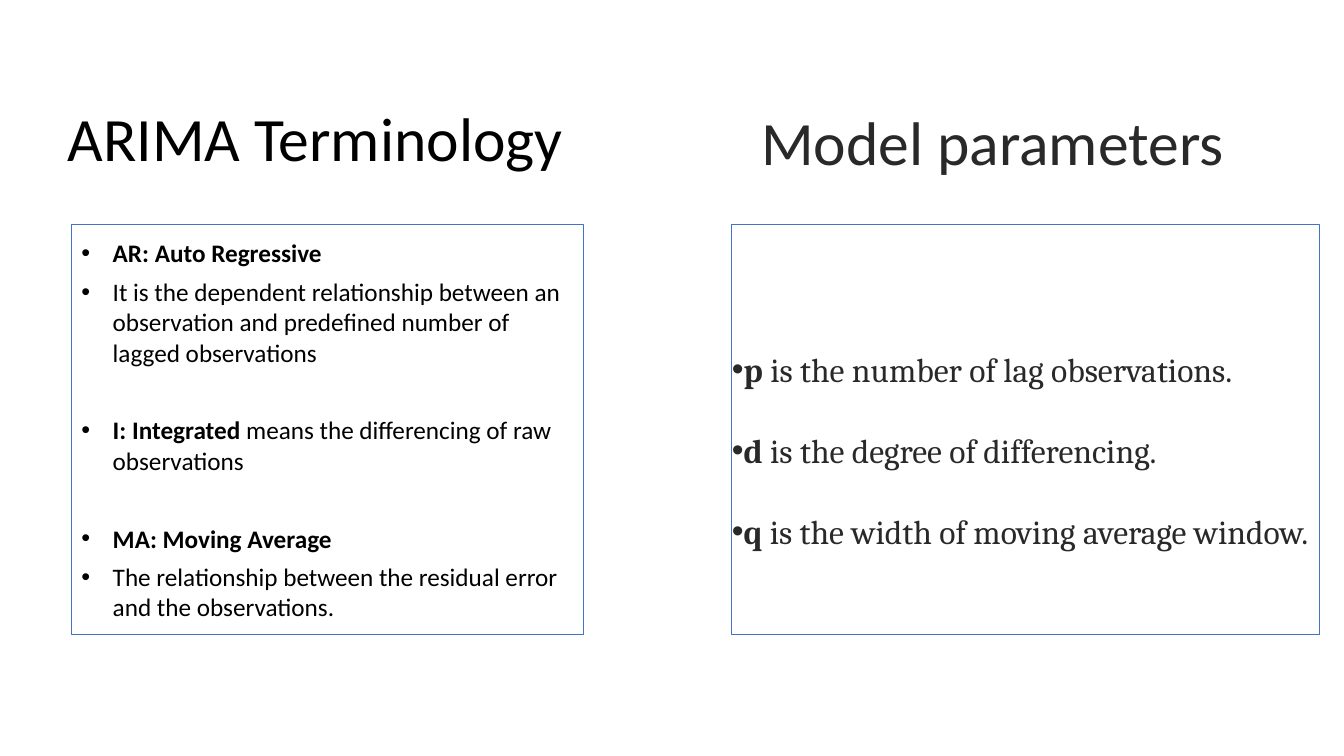
"""Build the slide on ARIMA terminology and model parameters."""
import pptx
import pptx.dml.color
import pptx.enum.shapes
import pptx.enum.text
import pptx.oxml
import pptx.oxml.ns
import pptx.util

Inches = pptx.util.Inches
Pt = pptx.util.Pt
Anchor = pptx.enum.text.MSO_ANCHOR

BLACK = pptx.dml.color.RGBColor(0x00, 0x00, 0x00)
CHARCOAL = pptx.dml.color.RGBColor(0x29, 0x29, 0x29)
BLUE = pptx.dml.color.RGBColor(0x44, 0x72, 0xC4)

ITEM_GAP = 6
GROUP_GAP = 34
TERMS = [
    ("AR: Auto Regressive", "", ITEM_GAP),
    ("", "It is the dependent relationship between an observation and "
         "predefined number of lagged observations", GROUP_GAP),
    ("I: Integrated ", "means the differencing of raw observations", GROUP_GAP),
    ("MA: Moving Average", "", ITEM_GAP),
    ("", "The relationship between the residual error and the observations.", ITEM_GAP),
]
PARAMETERS = [
    ("p", " is the number of lag observations.", 0),
    ("d", " is the degree of differencing.", 0),
    ("q", " is the width of moving average window.", 0),
]


class SlideBuilder:
    def __init__(self, deck):
        self.page = deck.slides.add_slide(deck.slide_layouts[5])
        self.heading_size = 44
        self.heading_font = "Calibri"

    def place(self, shape, left, top, width, height):
        shape.left, shape.top = Inches(left), Inches(top)
        shape.width, shape.height = Inches(width), Inches(height)

    def set_margins(self, frame, left, top, right, bottom):
        frame.margin_left, frame.margin_top = Inches(left), Inches(top)
        frame.margin_right, frame.margin_bottom = Inches(right), Inches(bottom)

    def style(self, span, font, size, color, bold=False):
        span.font.name = font
        span.font.size = Pt(size)
        span.font.color.rgb = color
        span.font.bold = bold

    def heading(self, shape, text, color, anchor, margins, line_spacing):
        frame = shape.text_frame
        frame.text = text
        frame.word_wrap = True
        frame.auto_size = pptx.enum.text.MSO_AUTO_SIZE.NONE
        frame.vertical_anchor = anchor
        self.set_margins(frame, *margins)
        para = frame.paragraphs[0]
        para.alignment = pptx.enum.text.PP_ALIGN.LEFT
        para.line_spacing = line_spacing
        self.style(para.runs[0], self.heading_font, self.heading_size, color)

    def title(self, text, place, color):
        shape = self.page.shapes.title
        self.place(shape, *place)
        self.heading(shape, text, color, Anchor.BOTTOM, (0.1, 0.05, 0.1, 0.72), 0.9)

    def label(self, text, place, color):
        shape = self.page.shapes.add_textbox(*map(Inches, place))
        self.heading(shape, text, color, Anchor.MIDDLE, (0, 0, 0, 0), 1.0)

    def bullet(self, para, indent):
        properties = para._p.get_or_add_pPr()
        properties.set("marL", str(Inches(indent)))
        properties.set("indent", str(-Inches(indent)))
        namespace = pptx.oxml.ns.nsdecls("a")
        for element in ('buFont {} typeface="Arial"', 'buChar {} char="•"'):
            properties.append(pptx.oxml.parse_xml(f"<a:{element.format(namespace)}/>"))

    def bullet_panel(self, items, place, font, size, color, margins, indent, line_spacing):
        box = self.page.shapes.add_shape(
            pptx.enum.shapes.MSO_SHAPE.RECTANGLE, *map(Inches, place))
        box.shadow.inherit = False
        box.fill.background()
        box.line.color.rgb = BLUE
        box.line.width = Pt(0.75)
        frame = box.text_frame
        frame.word_wrap = True
        frame.vertical_anchor = Anchor.MIDDLE
        self.set_margins(frame, *margins)
        for index, (term, meaning, gap) in enumerate(items):
            para = frame.add_paragraph() if index else frame.paragraphs[0]
            para.alignment = pptx.enum.text.PP_ALIGN.LEFT
            para.line_spacing = line_spacing
            para.space_after = Pt(gap)
            self.bullet(para, indent)
            for text, bold in ((term, True), (meaning, False)):
                if text:
                    span = para.add_run()
                    span.text = text
                    self.style(span, font, size, color, bold)


def main():
    deck = pptx.Presentation()
    deck.slide_width, deck.slide_height = Inches(13.33), Inches(7.5)
    builder = SlideBuilder(deck)
    builder.title("ARIMA Terminology", (0.57, 0.86, 6.09, 1.59), BLACK)
    builder.bullet_panel(TERMS, (0.71, 2.23, 5.08, 4.07), "Calibri", 18, BLACK,
                         (0.1, 0.05, 0.1, 0.05), 0.31, 1.0)
    builder.bullet_panel(PARAMETERS, (7.26, 2.23, 5.83, 4.07), "Cambria", 24, CHARCOAL,
                         (0, 0, 0, 0), 0, 2.0)
    builder.label("Model parameters", (7.55, 1.14, 4.71, 0.51), CHARCOAL)
    deck.save("out.pptx")


if __name__ == "__main__":
    main()
